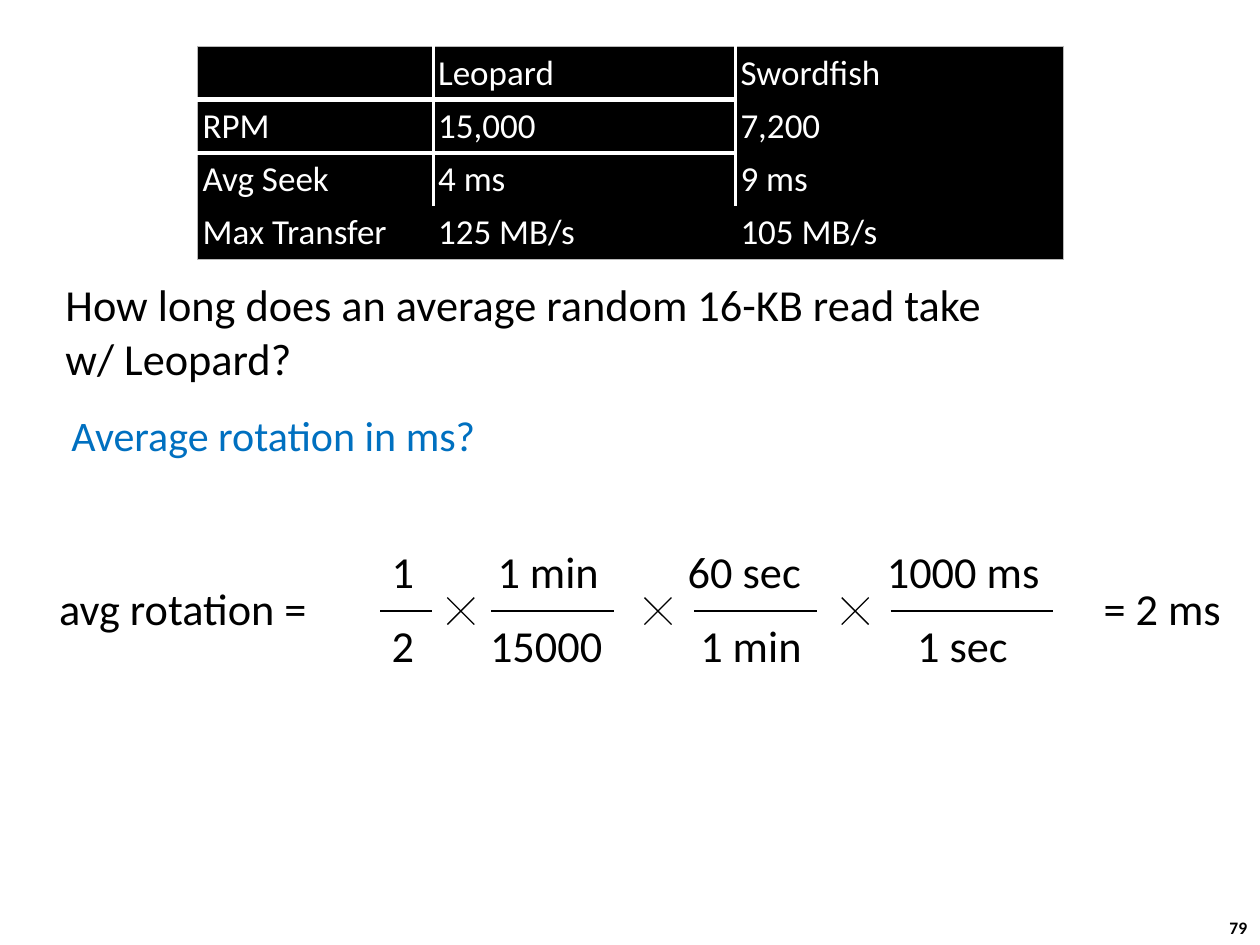
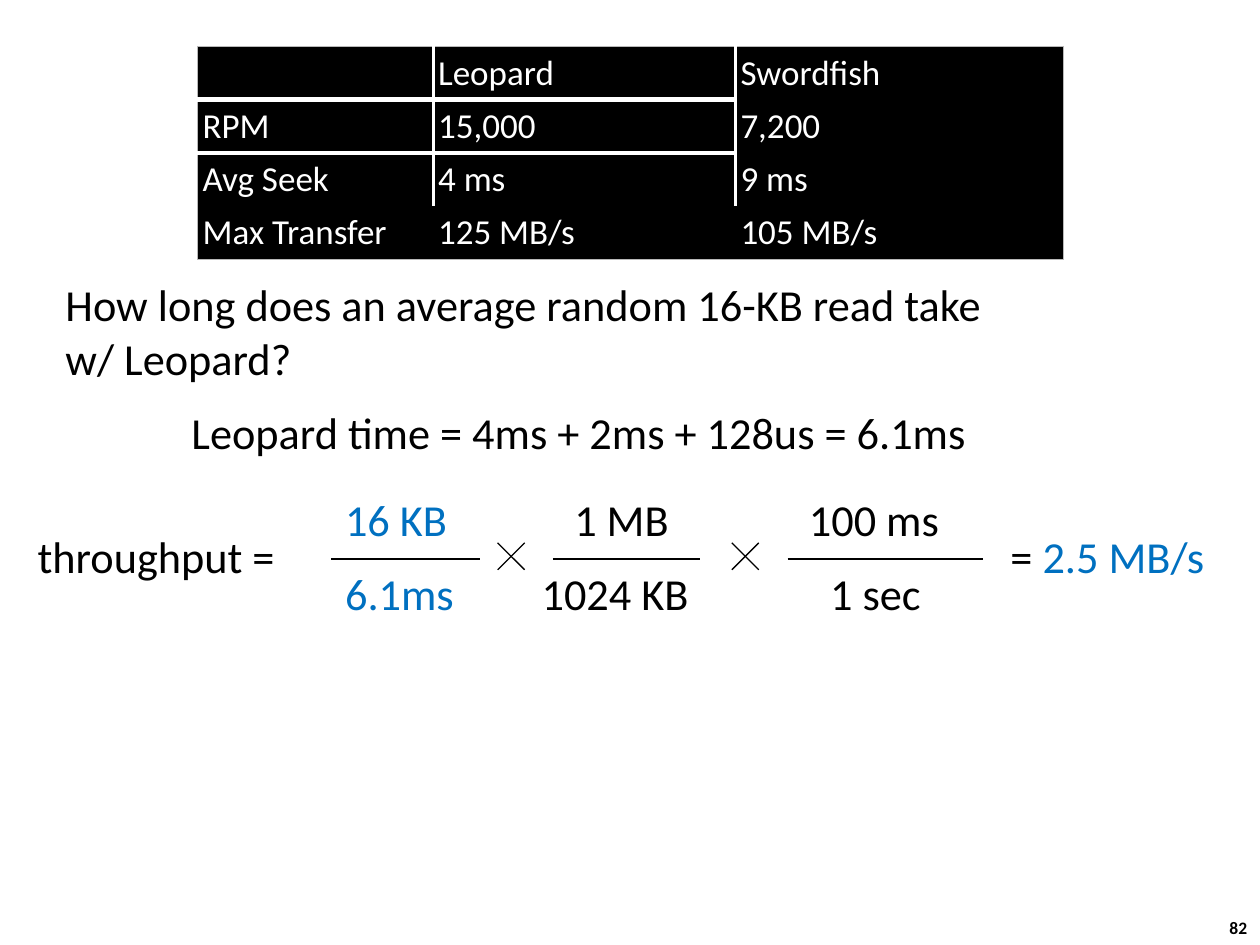
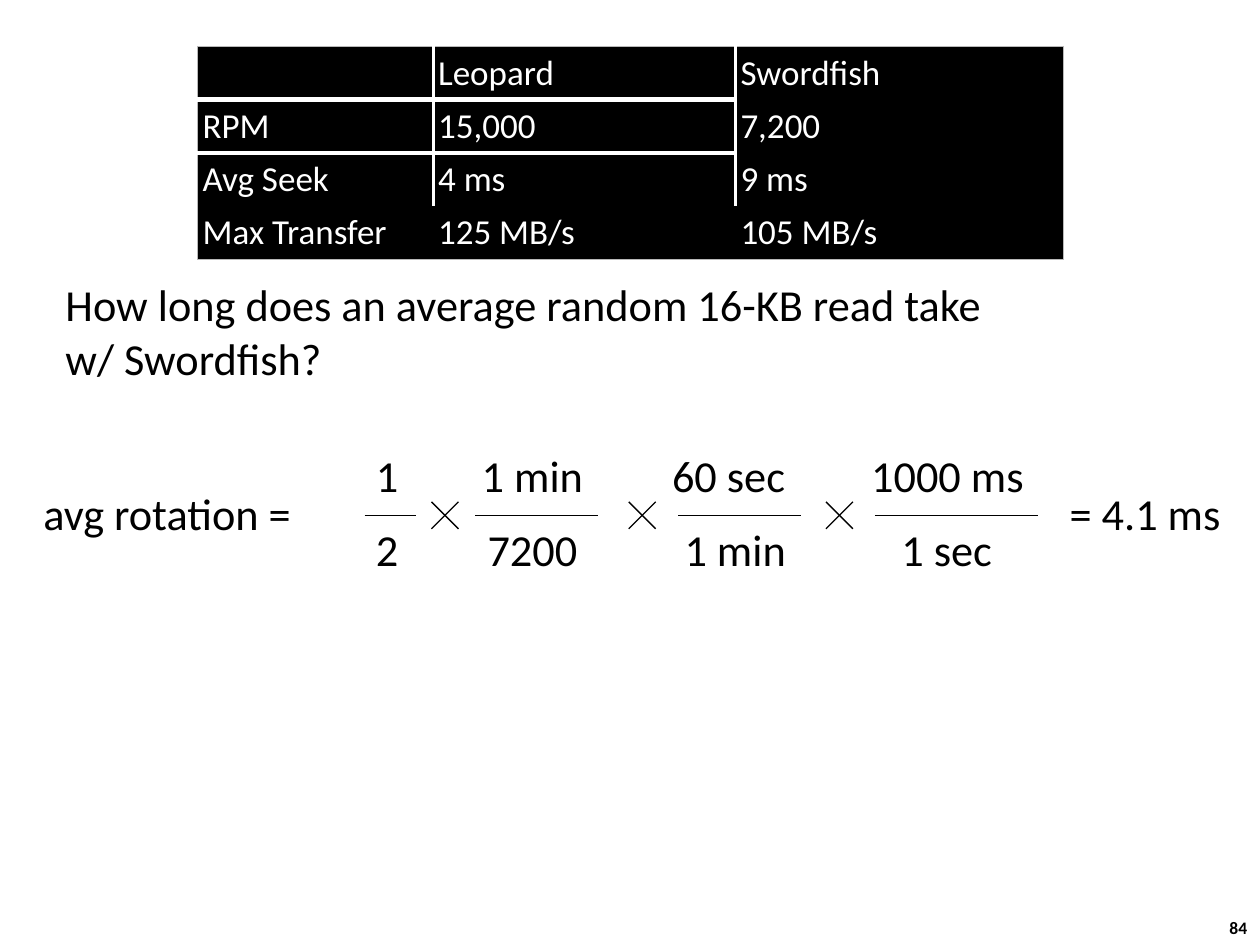
"""Build three slides that work out disk access times and throughput."""
from lxml import etree
from pptx import Presentation
from pptx import util as u
from pptx.dml import color
from pptx.enum import shapes, text
from pptx.oxml import ns

COLORS = {"ink": "000000", "paper": "FFFFFF", "accent": "0070C0", "edge": "B9B9B9"}
NO_STYLE = "{2D5ABB26-0587-4C30-8999-92F81FD0307C}"
DISKS = [
    ["", "Leopard", "Swordfish"],
    ["RPM", "15,000", "7,200"],
    ["Avg Seek", "4 ms", "9 ms"],
    ["Max Transfer", "125 MB/s", "105 MB/s"],
]


class Style:
    font = "Calibri"
    body = 25.3
    inset = 2.8
    line_height = 36
    cross_size = 15.4

    def __init__(self):
        self.deck = Presentation()
        self.deck.slide_width, self.deck.slide_height = u.Pt(720), u.Pt(540)
        self.page = None

    def rgb(self, name):
        return color.RGBColor.from_string(COLORS[name])

    def new_page(self, number, disk):
        self.page = self.deck.slides.add_slide(self.deck.slide_layouts[6])
        self.disk_table()
        question = ["How long does an average random 16-KB read take", f"w/ {disk}?"]
        self.label(question, 34.6, 155.5, 540, height=67)
        self.label([str(number)], 695.5, 520.5, 26.6, height=19.4, size=10, bold=True, padded=True)

    def span(self, para, words, size, shade, bold=False):
        run = para.add_run()
        run.text = words
        run.font.name, run.font.size, run.font.bold = self.font, u.Pt(size), bold
        run.font.color.rgb = self.rgb(shade)

    def label(self, lines, left, top, width, height=line_height, size=body,
              shade="ink", bold=False, padded=False):
        box = self.page.shapes.add_textbox(u.Pt(left), u.Pt(top), u.Pt(width), u.Pt(height))
        frame = box.text_frame
        frame.word_wrap = False
        frame.auto_size = text.MSO_AUTO_SIZE.SHAPE_TO_FIT_TEXT
        if not padded:
            frame.vertical_anchor = text.MSO_ANCHOR.MIDDLE
            frame.margin_left = frame.margin_right = u.Pt(self.inset)
            frame.margin_top = frame.margin_bottom = u.Pt(self.inset)
        para = frame.paragraphs[0]
        for index, words in enumerate(lines):
            if index:
                para.add_line_break()
            self.span(para, words, size, shade, bold)
        return para

    def line(self, parent, left, top, right, bottom):
        ends = [u.Pt(value) for value in (left, top, right, bottom)]
        connector = parent.add_connector(shapes.MSO_CONNECTOR.STRAIGHT, *ends)
        connector.line.width = u.Pt(0.75)
        connector.line.color.rgb = self.rgb("ink")
        etree.SubElement(connector._element.spPr, ns.qn("a:effectLst"))

    def cross(self, left, middle):
        group = self.page.shapes.add_group_shape().shapes
        right, half = left + self.cross_size, self.cross_size / 2
        self.line(group, left, middle + half, right, middle - half)
        self.line(group, left, middle - half, right, middle + half)

    def fraction(self, middle, bar, upper, lower, shade="ink"):
        self.line(self.page.shapes, bar[0], middle, bar[1], middle)
        for (words, left, width), top in ((upper, middle - 41), (lower, middle + 1.2)):
            self.label([words], left, top, width, shade=shade)

    def side_text(self, words, left, middle, width):
        return self.label([words], left, middle - 19.6, width)

    def border(self, cell, side, shade, width):
        edge = etree.SubElement(cell._tc.get_or_add_tcPr(), ns.qn(f"a:ln{side}"), w=str(u.Pt(width)))
        fill = etree.SubElement(edge, ns.qn("a:solidFill"))
        etree.SubElement(fill, ns.qn("a:srgbClr"), val=COLORS[shade])

    def disk_table(self):
        widths, row_height = (134.6, 172.8, 187.2), 30.4
        last_row, last_column = len(DISKS) - 1, len(widths) - 1
        frame = self.page.shapes.add_table(
            len(DISKS), len(widths), u.Pt(113), u.Pt(26.6),
            u.Pt(sum(widths)), u.Pt(row_height * len(DISKS)))
        table = frame.table
        table.first_row = table.horz_banding = False
        table._tbl.tblPr[0].text = NO_STYLE
        for column, width in zip(table.columns, widths):
            column.width = u.Pt(width)
        for r, values in enumerate(DISKS):
            table.rows[r].height = u.Pt(row_height)
            for c, words in enumerate(values):
                cell = table.cell(r, c)
                cell.margin_left = cell.margin_right = u.Pt(self.inset)
                cell.margin_top = cell.margin_bottom = u.Pt(self.inset)
                cell.vertical_anchor = text.MSO_ANCHOR.MIDDLE
                sides = (
                    ("L", c == 0, c == 1 and r < last_row, 2),
                    ("R", c == last_column, c == 0 and r < last_row, 2),
                    ("T", r == 0, r == 1 and c < last_column, 3),
                    ("B", r == last_row, r == 0 and c < last_column, 3),
                )
                for side, outer, divider, width in sides:
                    if outer:
                        self.border(cell, side, "edge", 0.75)
                    elif divider:
                        self.border(cell, side, "paper", width)
                cell.fill.solid()
                cell.fill.fore_color.rgb = self.rgb("ink")
                if words:
                    self.span(cell.text_frame.paragraphs[0], words, 20, "paper")

    def rotation(self, left, middle, speed, result):
        self.side_text("avg rotation =", left, middle, 154)
        fractions = (
            ((186.4, 216), ("1", 190, 18.7), ("2", 190, 18.7)),
            ((249.6, 319.6), ("1 min", 250.5, 64), speed),
            ((365.6, 435.6), ("60 sec", 359.2, 71.3), ("1 min", 366.4, 64)),
            ((478, 571), ("1000 ms", 473, 93.6), ("1 sec", 490.3, 57.6)),
        )
        for bar, *parts in fractions:
            upper, lower = [(words, left + x, width) for words, x, width in parts]
            self.fraction(middle, [left + x for x in bar], upper, lower)
        for index in range(3):
            self.cross(left + 224.6 + 112.7 * index, middle)
        words, x, width = result
        self.side_text(words, x, middle, width)


def main():
    style = Style()

    style.new_page(79, "Leopard")
    style.label(["Average rotation in ms?"], 33.8, 230.4, 247.7, size=24, shade="accent", padded=True)
    style.rotation(31, 349.2, ("15000", 246.2, 70.6), ("= 2 ms", 627.8, 73.4))

    style.new_page(82, "Leopard")
    style.label(["Leopard time = 4ms + 2ms + 128us = 6.1ms"], 106.6, 229, 455)
    middle = 319.5
    style.side_text("throughput =", 18.7, middle, 148.3)
    style.fraction(middle, (189.4, 274.3), ("16 KB", 194.4, 64.8), ("6.1ms", 194.4, 68.4), "accent")
    style.fraction(middle, (316, 400.3), ("1 MB", 325.4, 60.5), ("1024 KB", 306.7, 90.7))
    style.fraction(middle, (450, 561.6), ("100 ms", 459.4, 80.6), ("1 sec", 471.6, 57.6))
    for left in (284.4, 418.2):
        style.cross(left, middle - 1.6)
    para = style.side_text("= ", 574.6, middle, 117.4)
    style.span(para, "2.5 MB/s", style.body, "accent")

    style.new_page(84, "Swordfish")
    style.rotation(22, 294.5, ("7200", 253.8, 57.6), ("= 4.1 ms", 608.4, 93))

    style.deck.save("out.pptx")


if __name__ == "__main__":
    main()
